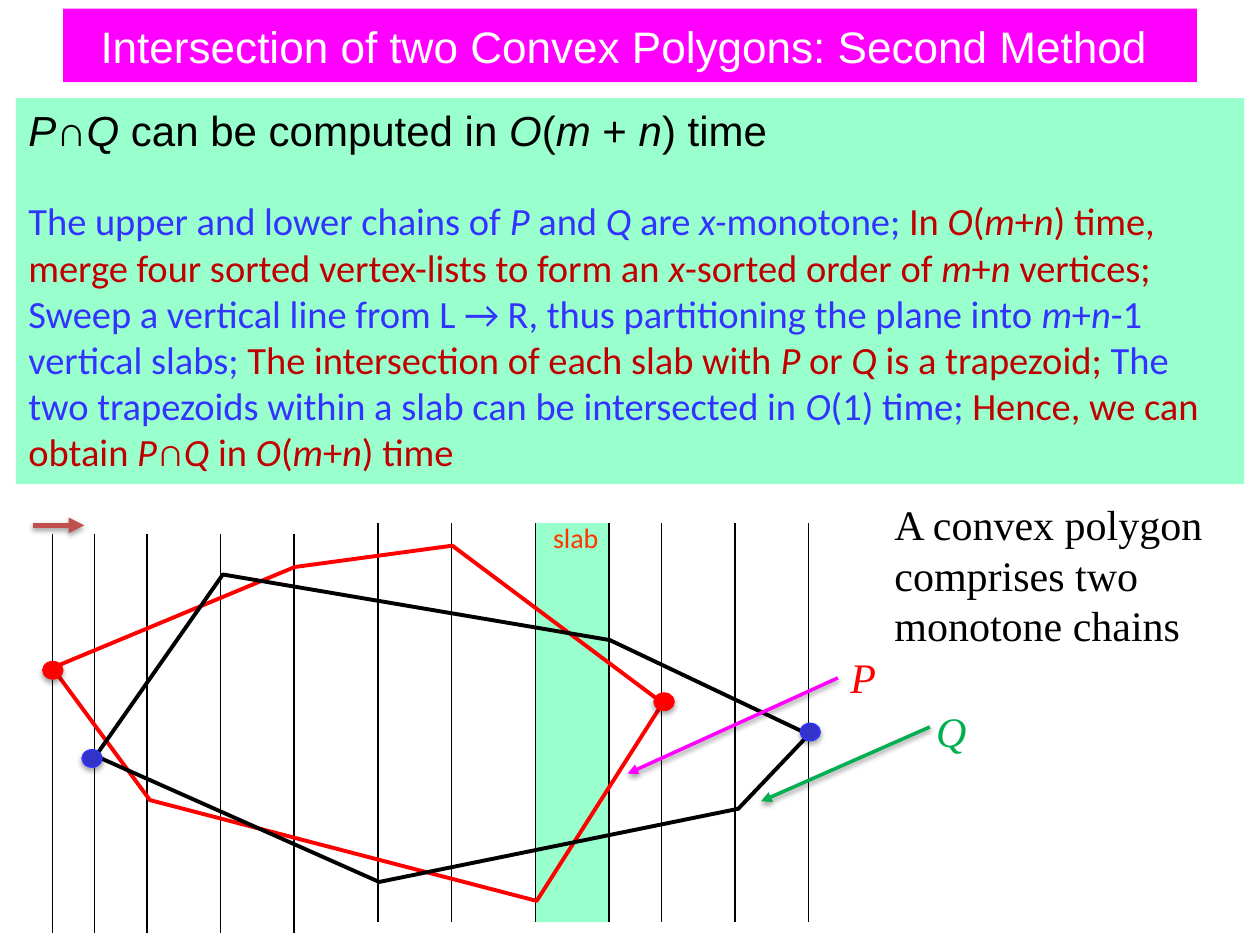
from dataclasses import dataclass

from lxml import etree
from pptx import Presentation
from pptx.dml.color import RGBColor
from pptx.enum.shapes import MSO_CONNECTOR, MSO_SHAPE
from pptx.enum.text import MSO_ANCHOR, MSO_AUTO_SIZE, PP_ALIGN
from pptx.oxml.ns import qn
from pptx.util import Pt

STRAIGHT = MSO_CONNECTOR.STRAIGHT
RECTANGLE, OVAL = MSO_SHAPE.RECTANGLE, MSO_SHAPE.OVAL
LEFT, CENTER = PP_ALIGN.LEFT, PP_ALIGN.CENTER
TOP, MIDDLE = MSO_ANCHOR.TOP, MSO_ANCHOR.MIDDLE
NO_AUTOFIT = MSO_AUTO_SIZE.NONE


@dataclass(frozen=True)
class Theme:
    white: str = "FFFFFF"
    black: str = "000000"
    magenta: str = "FF00FF"
    mint: str = "99FFCC"
    blue: str = "3333FF"
    dot_blue: str = "3333CC"
    dark_red: str = "C00000"
    red: str = "FF0000"
    orange: str = "FF3300"
    brick: str = "C0504D"
    green: str = "00B050"
    title_size: float = 25.2
    large_size: float = 24
    body_size: float = 22
    label_size: float = 16
    title_font: str = "Arial"
    body_font: str = "Calibri"
    serif_font: str = "Times New Roman"


@dataclass(frozen=True)
class Box:
    left: float
    top: float
    width: float
    height: float

    def inner(self, x, y, width, height):
        return Box(self.left + x, self.top + y, width, height)

    def point(self, x, y):
        return Pt(self.left + x), Pt(self.top + y)

    def lengths(self):
        return [Pt(value) for value in (self.left, self.top, self.width, self.height)]


THEME = Theme()
TITLE = "Intersection of two Convex Polygons: Second Method "
# Underscores switch italics on and off.
CLAIM = [(THEME.black, "_P_∩_Q_ can be computed in _O_(_m_ + _n_) time")]
MERGE_STEP = [
    (THEME.blue, "The upper and lower chains of _P_ and _Q_ are _x-_monotone; "),
    (THEME.dark_red, "In _O_(_m_+_n_) time, merge four sorted vertex-lists to form an "
                     "_x_-sorted order of _m_+_n_ vertices;"),
]
SWEEP_STEP = [
    (THEME.blue, "Sweep a vertical line from L → R, thus partitioning the plane into "
                 "_m_+_n_-1 vertical slabs; "),
    (THEME.dark_red, "The intersection of each slab with _P_ or _Q_ is a trapezoid; "),
    (THEME.blue, "The two trapezoids within a slab can be intersected in _O_(1) time; "),
    (THEME.dark_red, "Hence, we can obtain _P_∩_Q_ in _O_(_m_+_n_) time"),
]

# Diagram positions are relative to the top of the leftmost sweep line.
SWEEP_XS = (0, 24, 54, 96, 138, 186, 228, 276, 318, 348, 390, 432)
LOWERED_LINES, LOWERED_BY = 5, 6
SLAB_LEFT, SLAB_RIGHT = 276, 318
POLYGONS = (
    (THEME.red, [(0, 82.6), (138.5, 25), (228.5, 12.8), (348.7, 102.8),
                 (276.7, 215.8), (55.7, 158.2)]),
    (THEME.black, [(24.7, 133), (97.4, 29.3), (318.5, 66.8), (432.2, 120.8),
                   (391.9, 163.2), (186.7, 205)]),
)
DOT_WIDTH, DOT_HEIGHT = 11.5, 10
DOTS = (
    (THEME.red, THEME.red, [(0.2, 84), (349.5, 102)]),
    (THEME.dot_blue, THEME.blue, [(433, 119.3), (22.6, 134.4)]),
)
ARROWS = (
    (THEME.brick, 3, (-11.3, 1.2), (18.2, 1.2)),
    (THEME.magenta, 2, (448.8, 88.4), (328.6, 143.1)),
    (THEME.green, 2, (501.4, 116.4), (404.9, 158.9)),
)
POLYGON_LABELS = (("_P_", THEME.red, 448.8, 69.6), ("_Q_", THEME.green, 497.8, 100.6))


def apply_format(target, values):
    for name, value in values.items():
        setattr(target, name, value)


def paint(fill, color):
    fill.solid()
    fill.fore_color.rgb = RGBColor.from_string(color)


def draw_line(shape, color, width):
    paint(shape.line.fill, color)
    shape.line.width = Pt(width)


def set_shadow(shape, opacity=0, distance=0):
    """Replace the theme shadow by a soft downward one, or by none at zero opacity."""
    effects = etree.SubElement(shape._element.spPr, qn("a:effectLst"))
    if opacity:
        shadow = etree.SubElement(effects, qn("a:outerShdw"), blurRad=str(Pt(3.1)),
                                  dist=str(Pt(distance)), dir="5400000", rotWithShape="0")
        color = etree.SubElement(shadow, qn("a:srgbClr"), val=THEME.black)
        etree.SubElement(color, qn("a:alpha"), val=str(opacity * 1000))


def add_spans(para, parts, font, size):
    for color, text in parts:
        for index, piece in enumerate(text.split("_")):
            if piece:
                span = para.add_run()
                span.text = piece
                apply_format(span.font, {"name": font, "size": Pt(size),
                                         "italic": index % 2 == 1})
                span.font.color.rgb = RGBColor.from_string(color)


def place(shape, box):
    apply_format(shape, dict(zip(("left", "top", "width", "height"), box.lengths())))


def add_label(page, box, text, color, font, size, align=LEFT, wrap=True):
    frame = page.shapes.add_textbox(*box.lengths()).text_frame
    frame.word_wrap = wrap
    para = frame.paragraphs[0]
    para.alignment = align
    add_spans(para, [(color, text)], font, size)


def add_connector(page, start, end, color, width):
    connector = page.shapes.add_connector(STRAIGHT, *start, *end)
    draw_line(connector, color, width)
    return connector


def build_title(page, box):
    title = page.shapes.title
    place(title, box)
    paint(title.fill, THEME.magenta)
    frame = title.text_frame
    apply_format(frame, {"auto_size": NO_AUTOFIT, "vertical_anchor": MIDDLE})
    frame.paragraphs[0].alignment = CENTER
    add_spans(frame.paragraphs[0], [(THEME.white, TITLE)], THEME.title_font, THEME.title_size)


def build_method(page, box):
    body = page.placeholders[1]
    place(body, box)
    paint(body.fill, THEME.mint)
    frame = body.text_frame
    apply_format(frame, {"auto_size": NO_AUTOFIT, "vertical_anchor": TOP})
    rows = ((CLAIM, THEME.title_font, THEME.large_size, 0),
            (MERGE_STEP, THEME.body_font, THEME.body_size, 24.4),
            (SWEEP_STEP, THEME.body_font, THEME.body_size, 0))
    for index, (parts, font, size, gap) in enumerate(rows):
        para = frame.add_paragraph() if index else frame.paragraphs[0]
        properties = para._p.get_or_add_pPr()
        properties.set("marL", "0")
        properties.set("indent", "0")
        etree.SubElement(properties, qn("a:buNone"))
        apply_format(para, {"alignment": LEFT, "space_before": Pt(gap)})
        add_spans(para, parts, font, size)


def build_diagram(page, box):
    slab_box = box.inner(SLAB_LEFT, 0, SLAB_RIGHT - SLAB_LEFT, box.height)
    slab = page.shapes.add_shape(RECTANGLE, *slab_box.lengths())
    paint(slab.fill, THEME.mint)
    slab.line.fill.background()
    set_shadow(slab)

    for index, x in enumerate(SWEEP_XS):
        top = LOWERED_BY if index < LOWERED_LINES else 0
        line = add_connector(page, box.point(x, top), box.point(x, top + box.height),
                             THEME.black, 1)
        set_shadow(line)

    for color, corners in POLYGONS:
        start, *others = [box.point(x, y) for x, y in corners]
        builder = page.shapes.build_freeform(*start)
        builder.add_line_segments(others, close=True)
        polygon = builder.convert_to_shape()
        polygon.fill.background()
        draw_line(polygon, color, 2.25)
        set_shadow(polygon)

    add_label(page, slab_box.inner(1, -5, 44, 26.6), "slab", THEME.orange,
              THEME.body_font, THEME.label_size, CENTER, wrap=False)

    for fill, outline, centers in DOTS:
        for x, y in centers:
            dot_box = box.inner(x - DOT_WIDTH / 2, y - DOT_HEIGHT / 2, DOT_WIDTH, DOT_HEIGHT)
            dot = page.shapes.add_shape(OVAL, *dot_box.lengths())
            paint(dot.fill, fill)
            draw_line(dot, outline, 0.75)
            set_shadow(dot, 35, 1.8)

    for color, width, start, end in ARROWS:
        arrow = add_connector(page, box.point(*start), box.point(*end), color, width)
        etree.SubElement(arrow.line._get_or_add_ln(), qn("a:tailEnd"), type="triangle")
        set_shadow(arrow, 38, 1.6)

    for text, color, x, y in POLYGON_LABELS:
        add_label(page, box.inner(x, y, 42, 36), text, color, THEME.serif_font, THEME.large_size)


def main():
    deck = Presentation()
    deck.slide_width, deck.slide_height = Pt(720), Pt(540)
    page = deck.slides.add_slide(deck.slide_layouts[1])
    build_title(page, Box(36, 5, 648, 42))
    build_method(page, Box(9, 56, 702, 220.5))
    build_diagram(page, Box(30, 299, 432, 228))
    add_label(page, Box(504, 281.5, 223, 94.3), "A convex polygon comprises two monotone chains",
              THEME.black, THEME.serif_font, THEME.large_size)
    deck.save("out.pptx")


if __name__ == "__main__":
    main()
